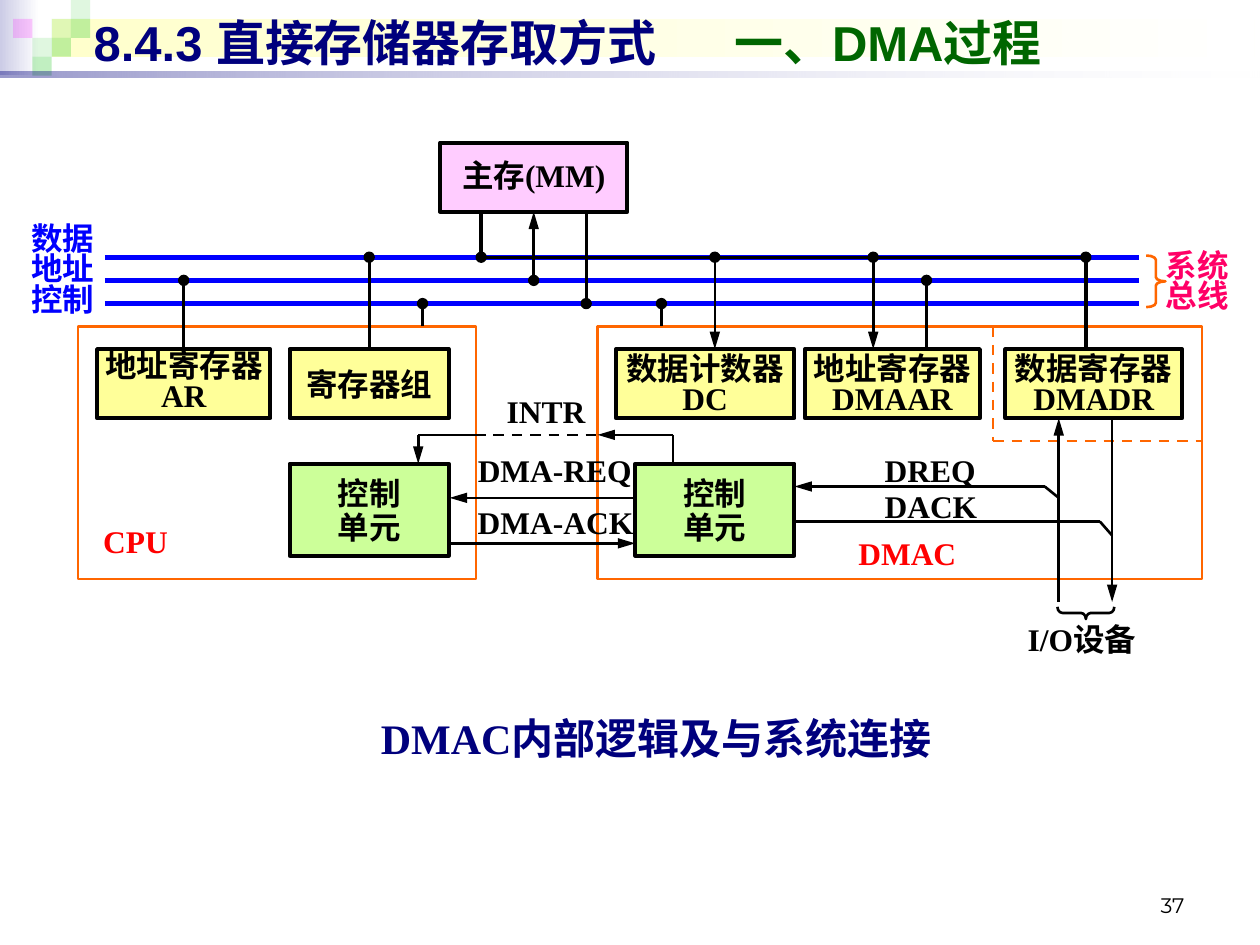
import pptx
import pptx.dml.color
import pptx.enum.dml
import pptx.enum.shapes
import pptx.enum.text
import pptx.oxml
import pptx.oxml.ns
import pptx.util

Pt = pptx.util.Pt
SHAPE = pptx.enum.shapes.MSO_SHAPE
ALIGN = pptx.enum.text.PP_ALIGN
ANCHOR = pptx.enum.text.MSO_ANCHOR
DASH = pptx.enum.dml.MSO_LINE.DASH
qn = pptx.oxml.ns.qn

BLACK, WHITE, NAVY, BLUE = "000000", "FFFFFF", "00007D", "0000FF"
ORANGE, RED, GREEN, PINK = "FF6600", "FF0000", "33CC33", "FF0066"
YELLOW, LIME, LILAC = "FFFF99", "CCFF99", "FFCCFF"


def color(code):
    return pptx.dml.color.RGBColor.from_string(code)


def add_element(parent, tag, **attributes):
    element = pptx.oxml.parse_xml(f'<a:{tag} {pptx.oxml.ns.nsdecls("a")}/>')
    for name, value in attributes.items():
        element.set(name, str(value))
    parent.append(element)
    return element


class Diagram:
    font = "Times New Roman"
    size = 18

    def __init__(self, slide):
        self.slide = slide

    def shape(self, kind, left, top, width, height, fill=None, line=None, weight=1.5):
        shape = self.slide.shapes.add_shape(
            kind, Pt(left), Pt(top), Pt(width), Pt(height))
        shape.shadow.inherit = False
        if fill:
            shape.fill.solid()
            shape.fill.fore_color.rgb = color(fill)
        else:
            shape.fill.background()
        if line:
            shape.line.color.rgb = color(line)
            shape.line.width = Pt(weight)
        else:
            shape.line.fill.background()
        return shape

    def tint(self, shape, *alphas):
        """Give the fill colours of a shape their opacity in percent."""
        for code, alpha in zip(shape._element.spPr.iter(qn("a:srgbClr")), alphas):
            add_element(code, "alpha", val=alpha * 1000)

    def gradient(self, left, top, width, height, start, end, alphas=()):
        shape = self.shape(SHAPE.RECTANGLE, left, top, width, height)
        shape.fill.gradient()
        shape.fill.gradient_angle = 0
        for stop, code in zip(shape.fill.gradient_stops, (start, end)):
            stop.color.rgb = color(code)
        self.tint(shape, *alphas)

    def set_text(self, shape, lines, align=ALIGN.CENTER, anchor=ANCHOR.MIDDLE,
                 spacing=0.8, insets=(0, 0, 0, 0), code=BLACK, size=None,
                 font=None, bold=True, tab=None):
        """Each line is a list of runs; a run is a text or a (text, colour)."""
        frame = shape.text_frame
        frame.word_wrap = True
        frame.vertical_anchor = anchor
        (frame.margin_left, frame.margin_top,
         frame.margin_right, frame.margin_bottom) = map(Pt, insets)
        for index, runs in enumerate(lines):
            paragraph = frame.add_paragraph() if index else frame.paragraphs[0]
            paragraph.alignment = align
            paragraph.line_spacing = spacing
            if tab:
                tabs = add_element(paragraph._p.get_or_add_pPr(), "tabLst")
                add_element(tabs, "tab", pos=Pt(tab), algn="l")
            for item in runs:
                text, run_color = (item, code) if isinstance(item, str) else item
                run = paragraph.add_run()
                run.text = text
                run.font.name = font or self.font
                run.font.size = Pt(size or self.size)
                run.font.bold = bold
                run.font.color.rgb = color(run_color)

    def text(self, left, top, width, height, lines, **style):
        box = self.slide.shapes.add_textbox(
            Pt(left), Pt(top), Pt(width), Pt(height))
        self.set_text(box, lines, **style)

    def label(self, left, top, width, height, text, code=BLACK):
        self.text(left, top, width, height, [[text]], align=ALIGN.JUSTIFY,
                  anchor=ANCHOR.TOP, spacing=0.72, code=code)

    def box(self, left, top, width, height, fill, lines, spacing=0.8,
            insets=(0, 3, 0, 0)):
        shape = self.shape(SHAPE.RECTANGLE, left, top, width, height, fill, BLACK, 2.25)
        self.set_text(shape, [[line] for line in lines], spacing=spacing, insets=insets)
        return shape

    def line(self, x1, y1, x2, y2, code=BLACK, weight=1.5, arrow=False,
             dash=None, joint=None):
        """A joint is the (shape, side) that the line ends on."""
        connector = self.slide.shapes.add_connector(
            pptx.enum.shapes.MSO_CONNECTOR.STRAIGHT, Pt(x1), Pt(y1), Pt(x2), Pt(y2))
        connector.line.color.rgb = color(code)
        connector.line.width = Pt(weight)
        if dash:
            connector.line.dash_style = dash
        if arrow:
            add_element(connector.line._get_or_add_ln(), "tailEnd",
                        type="triangle", w="med", len="lg")
        add_element(connector._element.spPr, "effectLst")
        if joint:
            connector.end_connect(*joint)

    def dot(self, x, y):
        self.shape(SHAPE.FLOWCHART_CONNECTOR, x - 2.5, y - 2.5, 5, 5, BLACK, BLACK)


def main():
    presentation = pptx.Presentation()
    presentation.slide_width, presentation.slide_height = Pt(720), Pt(540)
    diagram = Diagram(presentation.slides.add_slide(presentation.slide_layouts[6]))

    # Header band
    diagram.gradient(0, 0, 22.5, 43, "CCCCE6", WHITE)
    diagram.gradient(29.5, 11, 687.5, 21.5, "FFFFCC", WHITE)
    for column, row, code, alpha in [
            (2, 1, GREEN, 15), (3, 0, GREEN, 15), (3, 1, GREEN, 30),
            (1, 2, GREEN, 15), (0, 1, "FF00FF", 20), (2, 2, GREEN, 30),
            (1, 3, GREEN, 30)]:
        tile = diagram.shape(SHAPE.RECTANGLE, 7.5 + 11 * column, 10.8 * row,
                             11, 10.8, code)
        diagram.tint(tile, alpha)
    diagram.gradient(0, 41, 720, 3.5, NAVY, WHITE, (40, 10))

    # Title, caption and page number
    diagram.text(46.5, 3.5, 648, 41,
                 [["8.4.3 直接存储器存取方式\t", ("一、DMA过程", "006600")]],
                 align=ALIGN.LEFT, spacing=1, insets=(7.2, 3.6, 7.2, 3.6),
                 code=NAVY, size=28, font="Arial", tab=366)
    caption = diagram.shape(SHAPE.RECTANGLE, 142.5, 404.5, 465, 40, WHITE)
    diagram.set_text(caption, [["DMAC内部逻辑及与系统连接"]], code=NAVY, size=24)
    diagram.text(516, 492, 168, 36, [["37"]], align=ALIGN.RIGHT,
                 anchor=ANCHOR.BOTTOM, spacing=1, insets=(7.2, 3.6, 7.2, 3.6),
                 size=12, font="Montserrat", bold=False)

    # System bus
    data, address, control = buses = [147 + 13.25 * index for index in range(3)]
    for y in buses:
        diagram.line(60, y, 651, y, BLUE, 3)
    diagram.text(18, 132.5, 36, 45.5, [["数据"], ["地址"], ["控制"]],
                 align=ALIGN.JUSTIFY, code=BLUE)
    diagram.text(666, 140.5, 37.5, 43, [["系统"], ["总线"]],
                 align=ALIGN.JUSTIFY, code=PINK)
    brace = diagram.shape(SHAPE.RIGHT_BRACE, 655, 146, 11, 29.5, line=ORANGE)
    brace.adjustments[0] = 0.22

    # Memory, registers and control units
    memory = diagram.box(251.5, 81.5, 107, 39.5, LILAC, ["主存(MM)"], 0.9,
                         (7.2, 3.6, 7.2, 3.6))
    register_top, register_height = 199.5, 39.5
    address_register = diagram.box(55.5, register_top, 99, register_height, YELLOW,
                                   ["地址寄存器AR"], insets=(0, 0, 0, 0))
    register_group = diagram.box(165.5, register_top, 91, register_height, YELLOW,
                                 ["寄存器组"], 0.9)
    for left, width, name in [(352, 102, "数据计数器DC"), (460, 100, "地址寄存器DMAAR"),
                              (574.5, 101, "数据寄存器DMADR")]:
        diagram.box(left, register_top, width, register_height, YELLOW, [name])
    for left in (165.5, 363):
        diagram.box(left, 265, 91, 52.5, LIME, ["控制", "单元"], 0.9)

    # CPU and DMAC frames
    frame_top = 186.5
    for left, width in [(44.5, 227.5), (341.5, 345.5)]:
        diagram.shape(SHAPE.RECTANGLE, left, frame_top, width, 144.5, line=ORANGE)
    diagram.line(567.5, frame_top, 567.5, 252, ORANGE, dash=DASH)
    diagram.line(567.5, 252, 687, 252, ORANGE, dash=DASH)
    diagram.label(59, 304, 38, 14, "CPU", RED)
    diagram.label(490.5, 310.5, 72.5, 16, "DMAC", RED)

    # Taps on the bus: x, bus, end, weight, arrow, joint
    memory_bottom = 121
    for x, bus, end, weight, arrow, joint in [
            (275, data, memory_bottom, 2, False, None),
            (305, address, memory_bottom, 1.5, True, (memory, 2)),
            (335, control, memory_bottom, 1.5, False, None),
            (105, address, register_top, 1.5, False, (address_register, 0)),
            (211, data, register_top, 1.5, False, (register_group, 0)),
            (241.5, control, frame_top, 1.5, False, None),
            (378, control, frame_top, 1.5, False, None),
            (408.5, data, register_top, 1.5, True, None),
            (499, data, register_top, 1.5, True, None),
            (529.5, address, register_top, 1.5, False, None),
            (620.5, data, register_top, 2, False, None)]:
        diagram.line(x, bus, x, end, weight=weight, arrow=arrow, joint=joint)
        diagram.dot(x, bus)
    diagram.line(275, data, 620.5, data)

    # Interrupt, request and acknowledge signals
    diagram.line(239, 248.5, 239, 265, arrow=True)
    diagram.line(239, 248.5, 271.5, 248.5)
    diagram.line(271.5, 248.5, 341.5, 248.5, dash=DASH)
    diagram.line(384.5, 248.5, 341.5, 248.5, arrow=True)
    diagram.line(384.5, 248.5, 384.5, 265)
    diagram.line(363, 284.5, 257, 284.5, arrow=True)
    diagram.line(257, 310.5, 363, 310.5, arrow=True)
    diagram.line(597, 278, 454, 278, arrow=True)
    diagram.line(597, 278, 605, 284.5)
    diagram.line(454, 298, 628.5, 298)
    diagram.line(628.5, 298, 635.5, 306)
    for left, top, width, name in [
            (289.5, 229.5, 63.5, "INTR"), (273, 263.5, 106, "DMA-REQ"),
            (273, 293, 116.5, "DMA-ACK"), (505.5, 263, 83, "DREQ"),
            (505.5, 284, 78, "DACK")]:
        diagram.label(left, top, width, 21, name)

    # Peripheral side
    diagram.line(605, 344, 605, 239, arrow=True)
    diagram.line(635.5, 239, 635.5, 344, arrow=True)
    brace = diagram.shape(SHAPE.RIGHT_BRACE, 617, 334, 7, 32.5, line=BLACK)
    brace.rotation = 90
    brace.adjustments[0] = 0.4
    diagram.text(574, 355, 88.5, 24.5, [["I/O设备"]])

    presentation.save("out.pptx")


if __name__ == "__main__":
    main()
